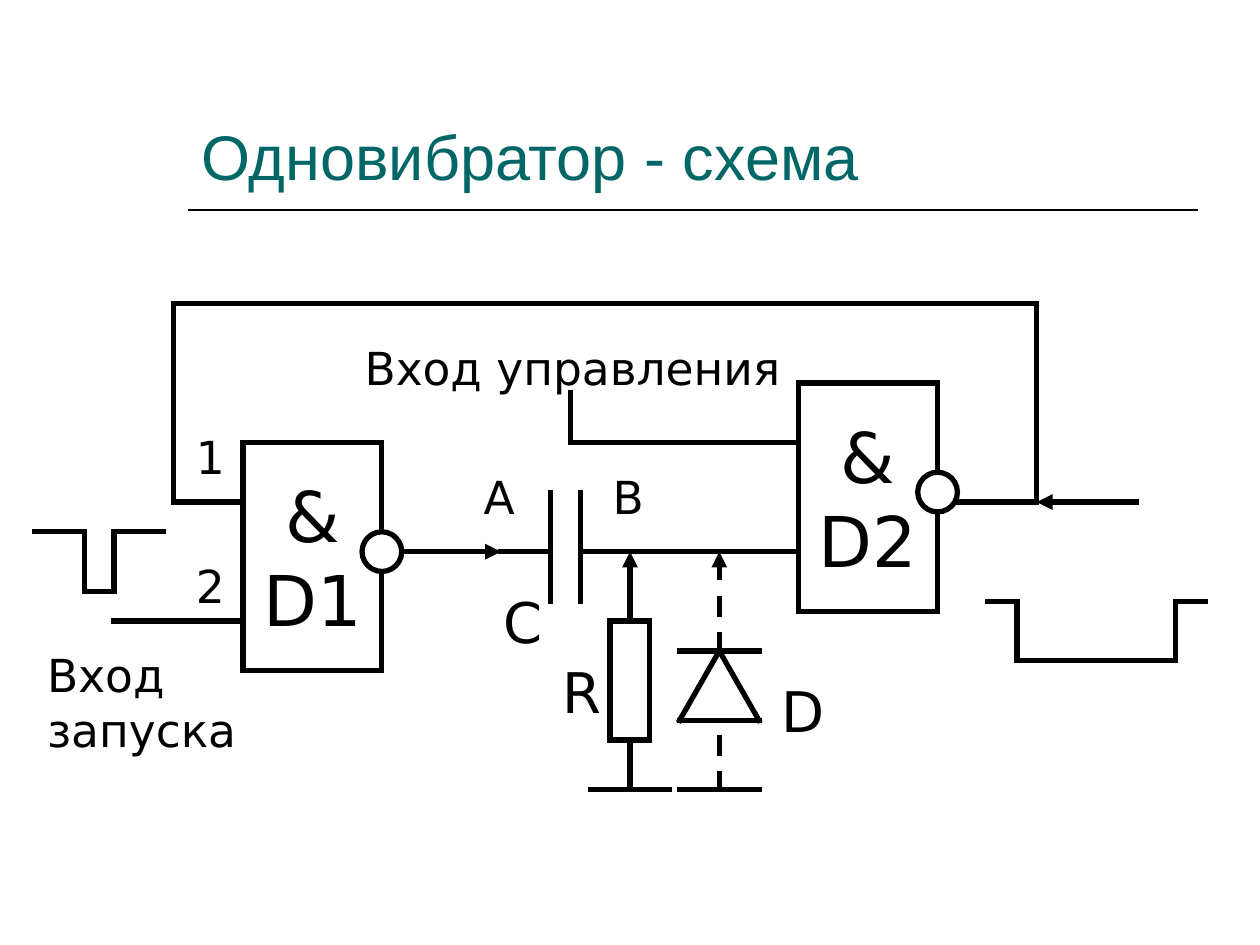
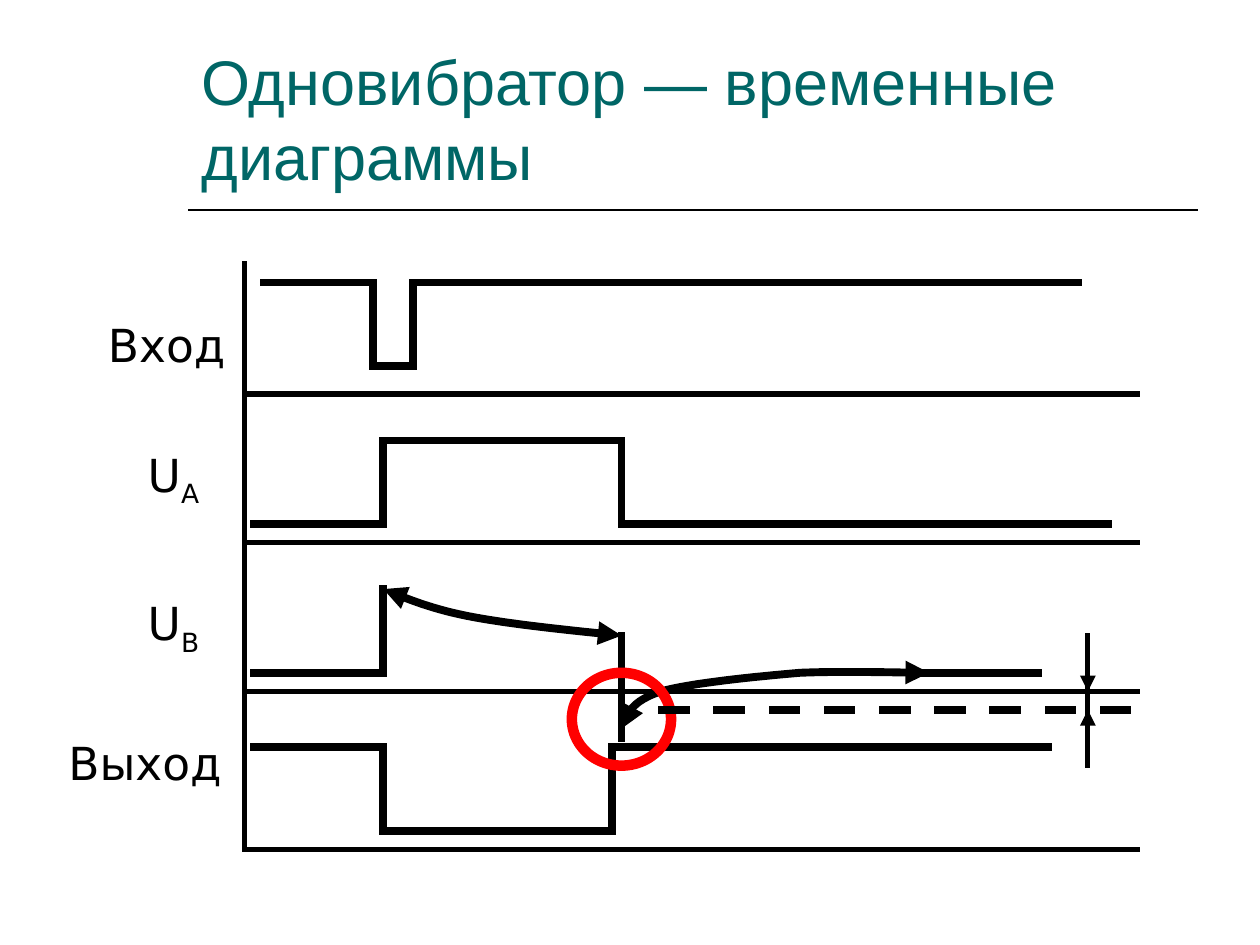
import itertools
from dataclasses import dataclass

import pptx
import pptx.dml.color
import pptx.enum.dml
import pptx.enum.shapes
import pptx.enum.text
import pptx.oxml.ns
import pptx.util

Pt = pptx.util.Pt
Color = pptx.dml.color.RGBColor
Shapes = pptx.enum.shapes.MSO_SHAPE
Anchor = pptx.enum.text.MSO_ANCHOR
Align = pptx.enum.text.PP_ALIGN
qn = pptx.oxml.ns.qn


@dataclass(frozen=True)
class Theme:
    """Colours, fonts, type sizes and line widths of the slides."""

    title_color: Color = Color(0x00, 0x66, 0x66)
    ink: Color = Color(0, 0, 0)
    paper: Color = Color(0xFF, 0xFF, 0xFF)
    marker: Color = Color(0xFF, 0, 0)
    title_font: str = "Arial"
    label_font: str = "DejaVu Sans"
    title_size: float = 36
    gate_size: float = 40
    part_size: float = 32
    label_size: float = 26
    rule_width: float = 1
    wire_width: float = 3
    signal_width: float = 4.5
    marker_width: float = 6


@dataclass(frozen=True)
class Grid:
    """A region's origin and the size of its columns and rows, in points."""

    left: float
    top: float
    column: float
    row: float

    def point(self, x, y):
        """Turn grid coordinates into a slide position."""
        return Pt(self.left + x * self.column), Pt(self.top + y * self.row)

    def box(self, x, y, width, height):
        """Turn a grid rectangle into left, top, width and height."""
        return *self.point(x, y), Pt(width * self.column), Pt(height * self.row)


THEME = Theme()
PAGE = Grid(0, 0, 1, 1)
SCHEMATIC = Grid(19.8, 173.5, 5.67, 5.67)
TIMING = Grid(139.7, 150.8, 5.67, 5.31)


def style_line(shape, color, width, arrows=(), dashed=False):
    """Give a shape a square-capped line without shadow."""
    shape.line.color.rgb = color
    shape.line.width = Pt(width)
    if dashed:
        shape.line.dash_style = pptx.enum.dml.MSO_LINE.DASH
    properties = shape.element.spPr
    line = properties.find(qn("a:ln"))
    line.set("cap", "sq")
    line.append(line.makeelement(qn("a:miter"), {"lim": "800000"}))
    for end in arrows:
        line.append(line.makeelement(qn(f"a:{end}"), {"type": "triangle"}))
    if properties.find(qn("a:effectLst")) is None:
        properties.append(properties.makeelement(qn("a:effectLst"), {}))


def add_wire(slide, grid, points, width=THEME.wire_width, arrow=False, dashed=False):
    """Join grid points with straight connectors."""
    for start, end in itertools.pairwise(points):
        connector = slide.shapes.add_connector(
            pptx.enum.shapes.MSO_CONNECTOR.STRAIGHT, *grid.point(*start), *grid.point(*end))
        style_line(connector, THEME.ink, width, ("tailEnd",) if arrow else (), dashed)


def add_outline(slide, grid, kind, box, color=THEME.ink, width=THEME.wire_width, filled=True):
    """Add a preset shape placed on the grid."""
    shape = slide.shapes.add_shape(kind, *grid.box(*box))
    shape.shadow.inherit = False
    if filled:
        shape.fill.solid()
        shape.fill.fore_color.rgb = THEME.paper
    else:
        shape.fill.background()
    style_line(shape, color, width)
    return shape


def format_text(text_frame, font, size, color, align=Align.LEFT):
    """Format every run of a text frame alike."""
    for paragraph in text_frame.paragraphs:
        paragraph.alignment = align
        for run in paragraph.runs:
            run.font.name = font
            run.font.size = Pt(size)
            run.font.color.rgb = color


def add_label(slide, grid, text, box, size=THEME.label_size, subscript=""):
    """Add a label with an optional subscript."""
    text_frame = slide.shapes.add_textbox(*grid.box(*box)).text_frame
    text_frame.word_wrap = True
    text_frame.text = text
    if subscript:
        run = text_frame.paragraphs[0].add_run()
        run.text = subscript
        run.font._element.set("baseline", "-25000")
    format_text(text_frame, THEME.label_font, size, THEME.ink)


def add_title(slide, title):
    """Add the title and the rule under it."""
    text_frame = slide.shapes.add_textbox(*PAGE.box(108, 20, 576, 94)).text_frame
    text_frame.word_wrap = True
    text_frame.vertical_anchor = Anchor.BOTTOM
    text_frame.text = title
    format_text(text_frame, THEME.title_font, THEME.title_size, THEME.title_color)
    add_wire(slide, PAGE, [(108, 120), (684, 120)], THEME.rule_width)


def add_gate(slide, grid, name, x, y):
    """Add a NAND gate with its inverting output."""
    shape = add_outline(slide, grid, Shapes.RECTANGLE, (x, y, 14, 23))
    text_frame = shape.text_frame
    text_frame.word_wrap = False
    text_frame.vertical_anchor = Anchor.MIDDLE
    text_frame.text = f"&\n{name}"
    format_text(text_frame, THEME.label_font, THEME.gate_size, THEME.ink, Align.CENTER)
    add_outline(slide, grid, Shapes.OVAL, (x + 12, y + 9, 4, 4))


def add_curve(slide, grid, start, segments, steps=16):
    """Draw chained cubic curves with an arrowhead at each end."""
    points = [start]
    for first, second, end in segments:
        corners = (points[-1], first, second, end)
        for step in range(1, steps + 1):
            t = step / steps
            weights = ((1 - t) ** 3, 3 * t * (1 - t) ** 2, 3 * t * t * (1 - t), t ** 3)
            points.append(tuple(
                sum(weight * corner[axis] for weight, corner in zip(weights, corners))
                for axis in (0, 1)))
    builder = slide.shapes.build_freeform(*grid.point(*points[0]))
    builder.add_line_segments([grid.point(*point) for point in points[1:]], close=False)
    shape = builder.convert_to_shape()
    shape.shadow.inherit = False
    shape.fill.background()
    style_line(shape, THEME.ink, THEME.signal_width, ("headEnd", "tailEnd"))


def draw_schematic(slide, grid):
    """Draw the one-shot circuit."""
    wires = [
        [(8, 32), (21, 32)],
        [(0, 23), (5, 23), (5, 29), (8, 29), (8, 23), (13, 23)],
        [(47, 25), (52, 25)], [(52, 19), (52, 30)], [(55, 19), (55, 30)],
        [(55, 25), (77, 25)],
        [(60, 49), (60, 44)], [(56, 49), (64, 49)],
        [(65, 35), (73, 35)], [(69, 35), (73, 42), (65, 42), (69, 35)],
        [(65, 49), (73, 49)],
        [(54, 9), (54, 14), (77, 14)],
        [(93, 20), (101, 20), (101, 0), (14, 0), (14, 20), (21, 20)],
        [(96, 30), (99, 30), (99, 36), (115, 36), (115, 30), (118, 30)],
    ]
    for points in wires:
        add_wire(slide, grid, points)
    for points in ([(37, 25), (47, 25)], [(60, 32), (60, 25)], [(111, 20), (101, 20)]):
        add_wire(slide, grid, points, arrow=True)
    add_wire(slide, grid, [(69, 35), (69, 25)], arrow=True, dashed=True)
    add_wire(slide, grid, [(69, 49), (69, 42)], dashed=True)
    add_outline(slide, grid, Shapes.RECTANGLE, (58, 32, 4, 12))
    add_gate(slide, grid, "D1", 21, 14)
    add_gate(slide, grid, "D2", 77, 8)
    add_label(slide, grid, "Вход запуска", (0, 34, 23, 12))
    add_label(slide, grid, "Вход управления", (32, 3, 46, 7))
    for text, x, y in (("1", 15, 12), ("2", 15, 25), ("A", 44, 16), ("B", 57, 16)):
        add_label(slide, grid, text, (x, y, 6, 7))
    for text, x, y in (("C", 46, 28), ("R", 52, 35), ("D", 74, 37)):
        add_label(slide, grid, text, (x, y, 7, 8), THEME.part_size)


def draw_timing(slide, grid):
    """Draw the timing diagrams of the input, both nodes and the output."""
    add_wire(slide, grid, [(0, 63), (0, 0)])
    for baseline in (14, 30, 46, 63):
        add_wire(slide, grid, [(0, baseline), (90, baseline)])
    labels = [
        ("Вход", "", -15, 5, 16), ("U", "A", -11, 19, 10),
        ("U", "B", -11, 35, 10), ("Выход", "", -19, 50, 20),
    ]
    for text, subscript, x, y, width in labels:
        add_label(slide, grid, text, (x, y, width, 8), subscript=subscript)
    signals = [
        [(2, 2), (13, 2), (13, 11), (17, 11), (17, 2), (84, 2)],
        [(1, 28), (14, 28), (14, 19), (38, 19), (38, 28), (87, 28)],
        [(1, 44), (14, 44), (14, 35)], [(38, 40), (38, 51)], [(68, 44), (80, 44)],
        [(1, 52), (14, 52), (14, 61), (37, 61), (37, 52), (81, 52)],
    ]
    for points in signals:
        add_wire(slide, grid, points, THEME.signal_width)
    add_curve(slide, grid, (14, 35), [
        ((16.5, 36.1), (19, 37.2), (23, 38)), ((27, 38.8), (32.5, 39.4), (38, 40))])
    add_curve(slide, grid, (38, 50), [
        ((38.5, 48.5), (39, 47), (42, 46)), ((45, 45.1), (51.6, 44.4), (56, 44)),
        ((60.5, 43.8), (66.7, 44), (69, 44))])
    add_outline(slide, grid, Shapes.OVAL, (33, 44, 10, 10), THEME.marker,
                THEME.marker_width, filled=False)
    add_wire(slide, grid, [(89, 48), (38, 48)], THEME.signal_width, dashed=True)
    add_wire(slide, grid, [(85, 43), (85, 49)])
    for start, end in ((40, 46), (54, 48)):
        add_wire(slide, grid, [(85, start), (85, end)], arrow=True)


def main():
    """Build and save the presentation."""
    presentation = pptx.Presentation()
    presentation.slide_width, presentation.slide_height = Pt(720), Pt(540)
    pages = [
        ("Одновибратор - схема", draw_schematic, SCHEMATIC),
        ("Одновибратор — временные диаграммы", draw_timing, TIMING),
    ]
    for title, draw, grid in pages:
        slide = presentation.slides.add_slide(presentation.slide_layouts[6])
        add_title(slide, title)
        draw(slide, grid)
    presentation.save("out.pptx")


if __name__ == "__main__":
    main()
